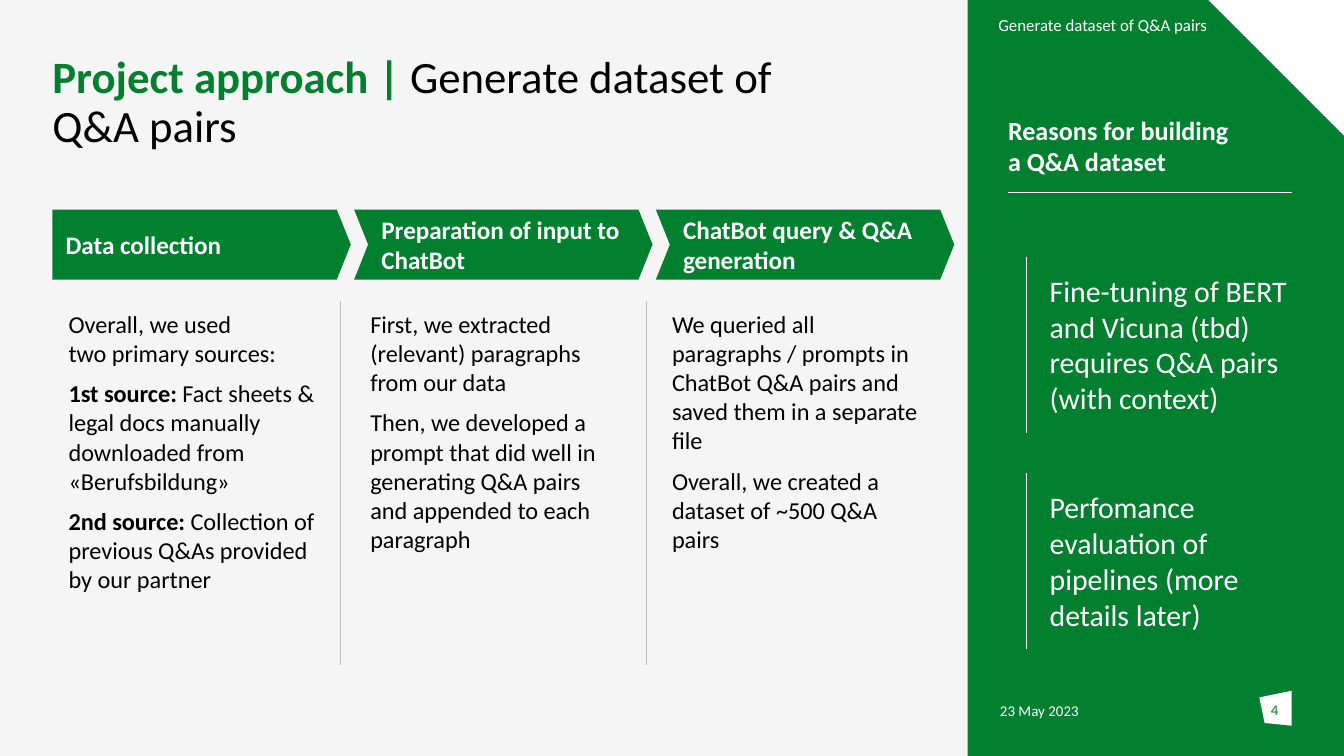
from lxml import etree
from pptx import Presentation
from pptx import util as u
from pptx.dml.color import RGBColor
from pptx.enum import shapes, text
from pptx.oxml.ns import qn

WIDTH = 10
HEIGHT = WIDTH * 9 / 16
MARGIN, COLUMN = 0.39, 2.245
SIDE_LEFT, SIDE_RIGHT = 7.5, 9.61
REASON_TOP, REASON_ROW = 1.91, 1.61
FONT = "Calibri"
COLORS = {
    "green": "00802F",
    "panel": "F5F5F5",
    "white": "FFFFFF",
    "black": "000000",
    "rule": "BFBFBF",
}
TOP, MIDDLE = text.MSO_ANCHOR.TOP, text.MSO_ANCHOR.MIDDLE
LEFT, CENTER, RIGHT = text.PP_ALIGN.LEFT, text.PP_ALIGN.CENTER, text.PP_ALIGN.RIGHT
NO_INSETS = (0, 0, 0, 0)
BODY_INSETS = (0.02, 0.05, 0, 0.05)
STEP_INSETS = (0.1, 0.05, 0.1, 0.05)

STEPS = [
    ("Data collection", [
        [("Overall, we used \ntwo primary sources:", False)],
        [("1st source:", True),
         (" Fact sheets & legal docs manually downloaded from «Berufsbildung»", False)],
        [("2nd source: ", True),
         ("Collection of previous Q&As provided by our partner", False)],
    ]),
    ("Preparation of input to ChatBot", [
        [("First, we extracted (relevant) paragraphs from our data", False)],
        [("Then, we developed a prompt that did well in generating Q&A pairs "
          "and appended to each paragraph", False)],
    ]),
    ("ChatBot query & Q&A generation", [
        [("We queried all paragraphs / prompts in ChatBot Q&A pairs and "
          "saved them in a separate file", False)],
        [("Overall, we created a dataset of ~500 Q&A pairs", False)],
    ]),
]
REASONS = [
    "Fine-tuning of BERT and Vicuna (tbd) requires Q&A pairs (with context)",
    "Perfomance evaluation of pipelines (more details later)",
]


def rgb(name):
    return RGBColor.from_string(COLORS[name])


def inches(*lengths):
    return [u.Inches(length) for length in lengths]


def paint(shape, color):
    shape.shadow.inherit = False
    shape.fill.solid()
    shape.fill.fore_color.rgb = rgb(color)
    shape.line.fill.background()


def add_block(slide, kind, box, color):
    block = slide.shapes.add_shape(kind, *inches(*box))
    paint(block, color)
    return block


def add_run(paragraph, words, size, color, bold=False):
    for number, line in enumerate(words.split("\n")):
        if number:
            paragraph.add_line_break()
        run = paragraph.add_run()
        run.text = line
        run.font.name = FONT
        run.font.size = u.Pt(size)
        run.font.bold = bold
        run.font.color.rgb = rgb(color)


def write(shape, paragraphs, size, color, insets=NO_INSETS, anchor=TOP,
          align=LEFT, after=0, spacing=None):
    frame = shape.text_frame
    frame.word_wrap = True
    frame.vertical_anchor = anchor
    (frame.margin_left, frame.margin_top,
     frame.margin_right, frame.margin_bottom) = inches(*insets)
    for number, runs in enumerate(paragraphs):
        paragraph = frame.add_paragraph() if number else frame.paragraphs[0]
        paragraph.alignment = align
        paragraph.space_after = u.Pt(after)
        if spacing:
            paragraph.line_spacing = spacing
        for words, bold, *accent in runs:
            add_run(paragraph, words, size, accent[0] if accent else color, bold)


def add_text(slide, box, paragraphs, size, color, **layout):
    write(slide.shapes.add_textbox(*inches(*box)), paragraphs, size, color, **layout)


def add_rule(slide, start, end, color):
    rule = slide.shapes.add_connector(
        shapes.MSO_CONNECTOR.STRAIGHT, *inches(*start, *end))
    rule.line.color.rgb = rgb(color)
    rule.line.width = u.Pt(0.5)
    etree.SubElement(rule._element.spPr, qn("a:effectLst"))


def add_step(slide, number, heading, paragraphs):
    kind = shapes.MSO_SHAPE.CHEVRON if number else shapes.MSO_SHAPE.PENTAGON
    left = MARGIN + number * COLUMN
    arrow = add_block(slide, kind, (left, 1.56, 2.22, 0.52), "green")
    arrow.adjustments[0] = 0.2
    write(arrow, [[(heading, True)]], 13.5, "white", insets=STEP_INSETS, anchor=MIDDLE)
    add_text(slide, (left + 0.1, 2.25, 1.88, 2.65), paragraphs, 13, "black",
             insets=BODY_INSETS, after=6)


def add_reason(slide, number, reason):
    top = REASON_TOP + number * REASON_ROW
    add_rule(slide, (7.64, top), (7.64, top + 1.31), "white")
    add_text(slide, (7.79, top + 0.06, 1.82, 1.18), [[(reason, False)]], 16, "white",
             insets=BODY_INSETS, anchor=MIDDLE, after=6)


def add_page_number(slide, number):
    corners = [inches(*corner) for corner in
               [(9.37, 5.19), (SIDE_RIGHT, 5.14), (SIDE_RIGHT, 5.4), (9.41, 5.38)]]
    outline = slide.shapes.build_freeform(*corners[0])
    outline.add_line_segments(corners[1:], close=True)
    paint(outline.convert_to_shape(), "white")
    add_text(slide, (9.37, 5.21, 0.23, 0.3), [[(number, False)]], 8, "green",
             align=CENTER)


def add_side_panel(slide):
    heading = add_block(slide, shapes.MSO_SHAPE.RECTANGLE,
                        (SIDE_LEFT, 0.85, SIDE_RIGHT - SIDE_LEFT, 0.46), "green")
    write(heading, [[("Reasons for building \na Q&A dataset", True)]], 14, "white")
    add_rule(slide, (SIDE_LEFT, 1.43), (SIDE_RIGHT, 1.43), "white")
    for number, reason in enumerate(REASONS):
        add_reason(slide, number, reason)
    corner = add_block(slide, shapes.MSO_SHAPE.RIGHT_TRIANGLE,
                       (WIDTH - 1.01, 0, 1.01, 1.01), "white")
    corner.rotation = 180
    add_text(slide, (7.05, 0.11, 1.93, 0.15),
             [[("Generate dataset of Q&A pairs", False)]], 9, "white",
             anchor=MIDDLE, align=RIGHT)
    add_page_number(slide, "4")
    add_text(slide, (7.44, 5.22, 1.29, 0.2), [[("23 May 2023", False)]], 8, "white")


def main():
    deck = Presentation()
    deck.slide_width, deck.slide_height = inches(WIDTH, HEIGHT)
    slide = deck.slides.add_slide(deck.slide_layouts[6])
    for share, color in [(1, "green"), (0.72, "panel")]:
        add_block(slide, shapes.MSO_SHAPE.RECTANGLE,
                  (0, 0, share * WIDTH, HEIGHT), color)
    add_text(slide, (MARGIN, 0.41, 6.34, 0.67),
             [[("Project approach | ", True, "green"),
               ("Generate dataset of \nQ&A pairs", False)]],
             24, "black", spacing=0.9)
    for number, (heading, paragraphs) in enumerate(STEPS):
        add_step(slide, number, heading, paragraphs)
    for divider in (2.53, 4.81):
        add_rule(slide, (divider, 2.24), (divider, 4.95), "rule")
    add_side_panel(slide)
    deck.save("out.pptx")


if __name__ == "__main__":
    main()
